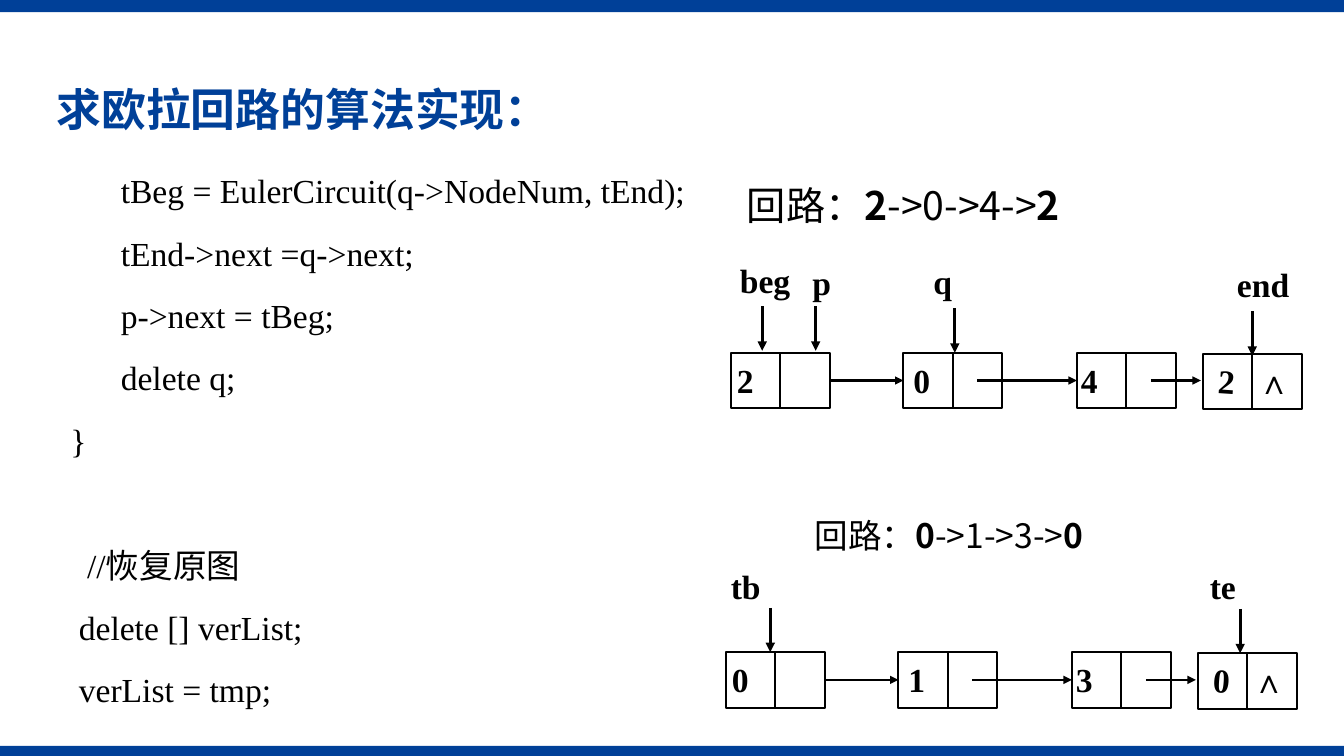
from lxml import etree
from pptx import Presentation
from pptx.dml.color import RGBColor
from pptx.enum.shapes import MSO_CONNECTOR, MSO_SHAPE
from pptx.enum.text import MSO_ANCHOR, PP_ALIGN
from pptx.oxml.ns import qn
from pptx.util import Inches, Pt

RECT = MSO_SHAPE.RECTANGLE
LINE = MSO_CONNECTOR.STRAIGHT
LEFT, JUST = PP_ALIGN.LEFT, PP_ALIGN.JUSTIFY
MID = MSO_ANCHOR.MIDDLE
SANS, SERIF = "Noto Sans CJK SC", "Times New Roman"
BLUE, BLACK = "004098", "000000"
WIDE, HIGH = 13.33, 7.5
CELL_W, CELL_H = 0.49, 0.55

TITLE = "求欧拉回路的算法实现："
CODE = [
    ("tBeg = EulerCircuit(q->NodeNum, tEnd);", 6, 10),
    ("tEnd->next =q->next;", 6, 10),
    ("p->next = tBeg;", 6, 10),
    ("delete q;", 6, 10),
    ("}", 0, 10),
    ("//恢复原图", 2, 54.5),
    ("delete [] verList;", 1, 10),
    ("verList = tmp;", 1, 10),
]
PATHS = [
    ((7.31, 1.75, 4.45, 0.88), 28, ["回路：", "2", "->0->4->", "2"]),
    ((7.98, 5.06, 3.77, 0.5), 24, ["回路：", "0", "->1->3->", "0"]),
]
NODES = [(0, 0, 0.06), (1.71, 0, 0.1), (3.43, 0, 0.04), (4.68, 0.01, 0.15)]
LISTS = [(7.25, 3.5, "2042"), (7.2, 6.47, "0130")]
MARKS = [
    ("beg", 7.24, 2.53, 7.56, 3.04),
    ("p", 7.96, 2.55, 8.09, 3.04),
    ("q", 9.16, 2.54, 9.47, 3.06),
    ("end", 12.17, 2.57, 12.42, 3.09),
    ("tb", 7.15, 5.57, 7.64, 6.03),
    ("te", 11.9, 5.57, 12.3, 6.04),
]

deck = Presentation()
deck.slide_width, deck.slide_height = Inches(WIDE), Inches(HIGH)
slide = deck.slides.add_slide(deck.slide_layouts[5])
shapes = slide.shapes


def color(value):
    return RGBColor.from_string(value)


def style(run, face, size, bold=False, ink=BLACK):
    font = run.font
    font.name, font.size, font.bold = face, Pt(size), bold
    font.color.rgb = color(ink)
    east = etree.SubElement(run._r.get_or_add_rPr(), qn("a:ea"))
    east.set("typeface", SANS)


def block(x, y, w, h, fill=None):
    box = shapes.add_shape(RECT, *map(Inches, (x, y, w, h)))
    box.shadow.inherit = False
    if fill:
        box.fill.solid()
        box.fill.fore_color.rgb = color(fill)
        box.line.fill.background()
    else:
        box.fill.background()
        box.line.color.rgb = color(BLACK)
        box.line.width = Pt(1.5)
    return box


def text_box(x, y, w, h):
    box = shapes.add_textbox(*map(Inches, (x, y, w, h)))
    box.text_frame.word_wrap = True
    return box


def label(text, x, y, w, h, inset=0.0):
    box = text_box(x, y, w, h)
    frame = box.text_frame
    frame.margin_left = frame.margin_right = Inches(inset)
    frame.margin_top = frame.margin_bottom = Inches(inset / 2)
    frame.text = text
    para = frame.paragraphs[0]
    para.alignment = JUST
    style(para.runs[0], SERIF, 24, True)
    return box


def arrow(x1, y1, x2, y2, width):
    link = shapes.add_connector(LINE, *map(Inches, (x1, y1, x2, y2)))
    link.line.color.rgb = color(BLACK)
    link.line.width = Pt(width)
    tail = etree.SubElement(link.line._get_or_add_ln(), qn("a:tailEnd"))
    tail.set("type", "triangle")
    etree.SubElement(link._element.spPr, qn("a:effectLst"))
    return link


def chain(left, top, values):
    cells = []
    for (dx, dy, pad), value in zip(NODES, values):
        x, y = left + dx, top + dy
        cells.append([block(x + k * CELL_W, y, CELL_W, CELL_H) for k in (0, 1)])
        last = dx == NODES[-1][0]
        digit = label(value, x + pad, y + 0.07, 0.27 if last else 0.37, 0.47)
        if last:
            digit.rotation = 3.8
            label("∧", x + 0.54, y + 0.07, 0.33, 0.48)
    mid = top + CELL_H / 2
    first, second, third, end = [left + dx for dx, _, _ in NODES]
    link = arrow(first + 2 * CELL_W, mid, second, mid, 1.5)
    link.begin_connect(cells[0][1], 3)
    link.end_connect(cells[1][0], 1)
    link = arrow(second + 1.5 * CELL_W, mid, third, mid, 1.5)
    link.end_connect(cells[2][0], 1)
    arrow(third + 1.5 * CELL_W, mid, end - 0.02, mid, 1.5)


block(0, HIGH - 0.1, WIDE, 0.1, BLUE)
block(0, 0, WIDE, 0.12, BLUE)

title = shapes.title
title.left, title.top = Inches(0.46), Inches(0.8)
title.width, title.height = Inches(12.21), Inches(0.63)
title.text_frame.text = TITLE
title.text_frame.vertical_anchor = MID
head = title.text_frame.paragraphs[0]
head.alignment, head.line_spacing = LEFT, 0.9
style(head.runs[0], SANS, 32, True, BLUE)

code = text_box(0.6, 1.56, 6.36, 5.63).text_frame
code.text = "\n".join(text for text, _, _ in CODE)
for para, (_, depth, gap) in zip(code.paragraphs, CODE):
    para.line_spacing, para.space_before = 1.2, Pt(gap)
    para._p.get_or_add_pPr().set("marL", str(Pt(6 * depth)))
    style(para.runs[0], SERIF, 24)

for place, size, parts in PATHS:
    para = text_box(*place).text_frame.paragraphs[0]
    for part in parts:
        run = para.add_run()
        run.text = part
        style(run, SANS, size, part.isdigit())

for row in LISTS:
    chain(*row)

for name, x, y, tip, start in MARKS:
    label(name, x, y, 0.98, 0.47, 0.1)
    arrow(tip, start, tip, start + 0.44, 2.25)

deck.save("out.pptx")
